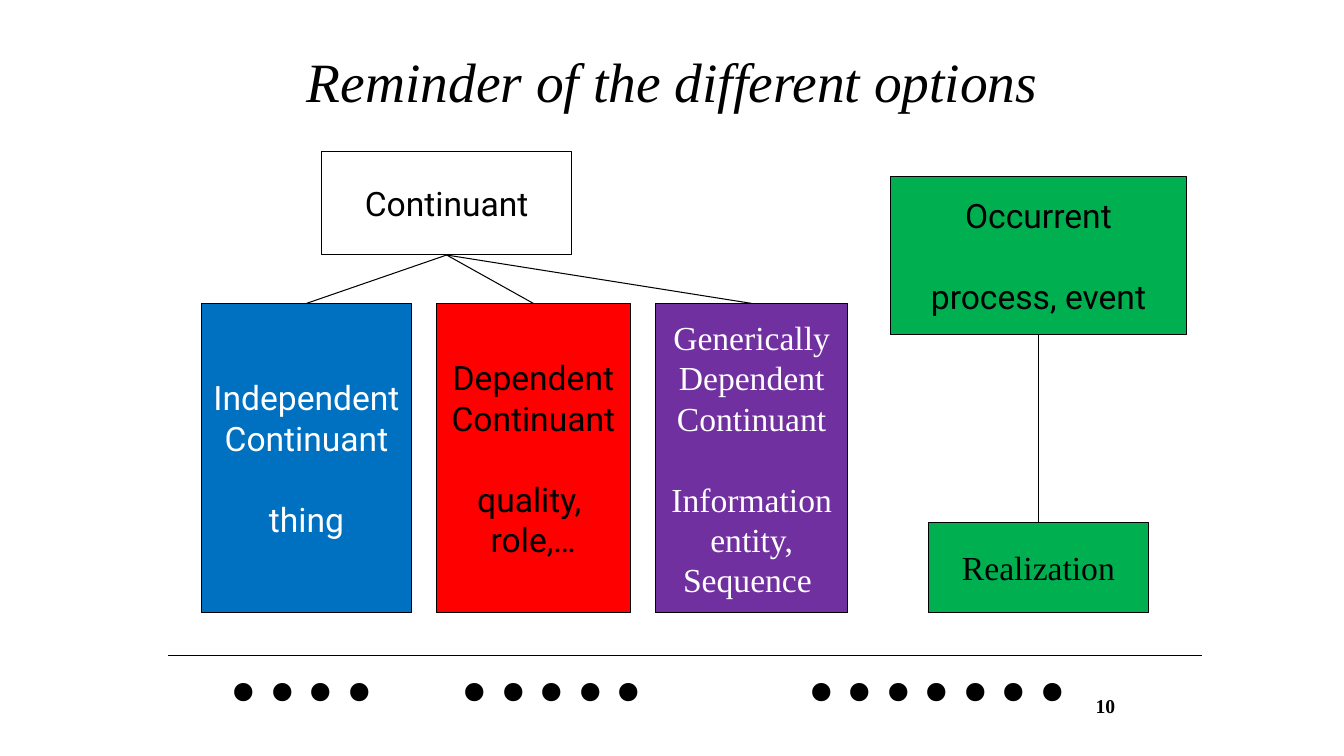
from lxml import etree
from pptx import Presentation
from pptx.dml.color import RGBColor
from pptx.enum.shapes import MSO_CONNECTOR, MSO_SHAPE
from pptx.enum.text import MSO_ANCHOR, MSO_AUTO_SIZE, PP_ALIGN
from pptx.oxml.ns import qn
from pptx.util import Inches, Pt

RECTANGLE = MSO_SHAPE.RECTANGLE
STRAIGHT = MSO_CONNECTOR.STRAIGHT
MIDDLE, TOP = MSO_ANCHOR.MIDDLE, MSO_ANCHOR.TOP
LEFT, CENTER, RIGHT = PP_ALIGN.LEFT, PP_ALIGN.CENTER, PP_ALIGN.RIGHT
NO_AUTOFIT = MSO_AUTO_SIZE.NONE

SERIF, SANS = "Times New Roman", "Roboto"
BLACK, WHITE = "000000", "FFFFFF"
BLUE, RED, PURPLE, GREEN = "0070C0", "FF0000", "7030A0", "00B050"
GROUP_GAP = 29  # one line of 24 pt text
DOT_STEP = 0.382  # advance of one 110 pt dot


def color(hex_value):
    return RGBColor.from_string(hex_value)


def set_font(paragraph, name, size, hex_value, align):
    paragraph.alignment = align
    font = paragraph.font
    font.name, font.size = name, Pt(size)
    font.color.rgb = color(hex_value)
    return font


def add_line(slide, start, end):
    line = slide.shapes.add_connector(
        STRAIGHT, *(Inches(value) for value in (*start, *end)))
    line.line.color.rgb = color(BLACK)
    line.line.width = Pt(0.75)
    etree.SubElement(line._element.spPr, qn("a:effectLst"))


def add_box(slide, box, groups, fill, text_color, font_name):
    """Draw a bordered box; each group of lines is set apart by a gap."""
    shape = slide.shapes.add_shape(RECTANGLE, *(Inches(value) for value in box))
    shape.shadow.inherit = False
    if fill:
        shape.fill.solid()
        shape.fill.fore_color.rgb = color(fill)
    else:
        shape.fill.background()
    shape.line.color.rgb = color(BLACK)
    shape.line.width = Pt(0.75)
    frame = shape.text_frame
    frame.word_wrap = True
    frame.vertical_anchor = MIDDLE
    paragraph = None
    for group_index, group in enumerate(groups):
        for line_index, text in enumerate(group):
            paragraph = frame.add_paragraph() if paragraph else frame.paragraphs[0]
            paragraph.text = text
            set_font(paragraph, font_name, 24, text_color, CENTER)
            if group_index and not line_index:
                paragraph.space_before = Pt(GROUP_GAP)


def bottom_center(box):
    left, top, width, height = box
    return left + width / 2, top + height


def top_center(box):
    left, top, width, _ = box
    return left + width / 2, top


def add_title(slide, box, text):
    title = slide.shapes.title
    title.left, title.top, title.width, title.height = map(Inches, box)
    frame = title.text_frame
    frame.text = text
    frame.auto_size = NO_AUTOFIT
    frame.vertical_anchor = MIDDLE
    set_font(frame.paragraphs[0], SERIF, 39.6, BLACK, CENTER).italic = True


def add_continuants(slide, box):
    left, top, _, height = box
    root = (left + 1.19, top, 2.48, 1.03)
    child_top = top + 1.51
    children = [
        (0, 2.08, [["Independent", "Continuant"], ["thing"]], BLUE, WHITE, SANS),
        (2.33, 1.92, [["Dependent", "Continuant"], ["quality, ", "role,…"]],
         RED, BLACK, SANS),
        (4.5, 1.91, [["Generically", "Dependent", "Continuant"],
                     ["Information entity, Sequence "]], PURPLE, WHITE, SERIF),
    ]
    add_box(slide, root, [["Continuant"]], None, BLACK, SANS)
    for offset, width, groups, fill, text_color, font_name in children:
        child = (left + offset, child_top, width, top + height - child_top)
        add_box(slide, child, groups, fill, text_color, font_name)
        add_line(slide, bottom_center(root), top_center(child))


def add_occurrents(slide, box):
    left, top, width, height = box
    occurrent = (left, top, width, 1.57)
    realization = (left + (width - 2.18) / 2, top + height - 0.9, 2.18, 0.9)
    add_box(slide, occurrent, [["Occurrent"], ["process, event"]],
            GREEN, BLACK, SANS)
    add_box(slide, realization, [["Realization"]], GREEN, BLACK, SERIF)
    add_line(slide, bottom_center(occurrent), top_center(realization))


def add_footer_text(slide, box, text):
    frame = slide.shapes.add_textbox(*(Inches(value) for value in box)).text_frame
    frame.word_wrap = True
    frame.vertical_anchor = TOP
    paragraph = frame.paragraphs[0]
    paragraph.text = text
    return paragraph


def add_footer(slide, box):
    left, top, width, height = box
    add_line(slide, (left, top + 0.42), (left + width, top + 0.42))

    # Three groups of dots, aligned by tab stops
    dots = add_footer_text(slide, (left + 0.46, top, width - 0.46, height),
                           "....\t.....\t.......")
    tabs = etree.SubElement(dots._p.get_or_add_pPr(), qn("a:tabLst"))
    for steps in (6, 15):
        etree.SubElement(tabs, qn("a:tab"),
                         pos=str(Inches(steps * DOT_STEP)), algn="l")
    dots.line_spacing = 0.55
    set_font(dots, SERIF, 110, BLACK, LEFT)

    # Slide number
    number = add_footer_text(slide, (left + 7.16, top + 0.75, 2.33, 0.52), "10")
    set_font(number, SERIF, 14, BLACK, RIGHT).bold = True


def main():
    presentation = Presentation()
    presentation.slide_width = Inches(13.33)
    presentation.slide_height = Inches(7.5)
    slide = presentation.slides.add_slide(presentation.slide_layouts[5])
    add_title(slide, (1.67, 0.42, 10, 0.75), "Reminder of the different options")
    add_continuants(slide, (2, 1.5, 6.41, 4.58))
    add_occurrents(slide, (8.83, 1.75, 2.94, 4.33))
    add_footer(slide, (1.67, 6.08, 10.25, 1.23))
    presentation.save("out.pptx")


if __name__ == "__main__":
    main()
